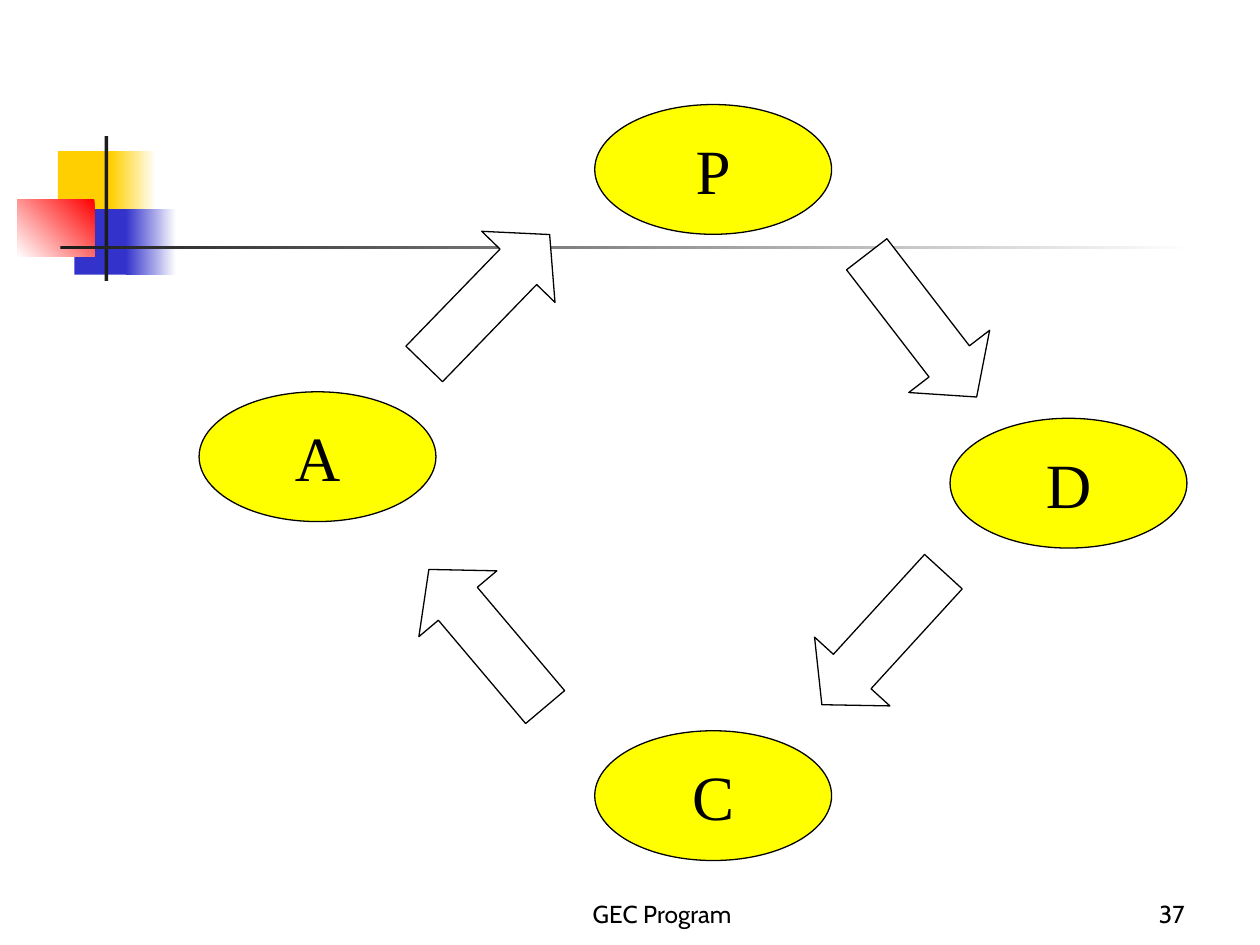
from typing import NamedTuple, Optional

from pptx import Presentation
from pptx.dml.color import RGBColor
from pptx.enum.shapes import MSO_SHAPE
from pptx.enum.text import MSO_ANCHOR, PP_ALIGN
from pptx.util import Inches, Pt

RECTANGLE = MSO_SHAPE.RECTANGLE
OVAL = MSO_SHAPE.OVAL
RIGHT_ARROW = MSO_SHAPE.RIGHT_ARROW
CENTER, RIGHT = PP_ALIGN.CENTER, PP_ALIGN.RIGHT
MIDDLE, BOTTOM = MSO_ANCHOR.MIDDLE, MSO_ANCHOR.BOTTOM

BLACK = RGBColor(0x00, 0x00, 0x00)
WHITE = RGBColor(0xFF, 0xFF, 0xFF)
YELLOW = RGBColor(0xFF, 0xFF, 0x00)
GOLD = RGBColor(0xFF, 0xCF, 0x01)
BLUE = RGBColor(0x33, 0x33, 0xCC)
RED = RGBColor(0xFF, 0x00, 0x00)
CHARCOAL = RGBColor(0x1C, 0x1C, 0x1C)

STAGE_FONT, FOOTER_FONT = "Times New Roman", "Cabin"
STAGE_WIDTH, STAGE_HEIGHT = 1.88, 1.03
ARROW_WIDTH, ARROW_HEIGHT = 1.43, 0.81
FOOTER_TOP, FOOTER_HEIGHT = 6.92, 0.5


class Block(NamedTuple):
    """A decorative bar; fade_angle is set when it fades to white."""
    left: float
    top: float
    width: float
    height: float
    color: RGBColor
    fade_angle: Optional[float] = None


class Stage(NamedTuple):
    letter: str
    left: float
    top: float


class Arrow(NamedTuple):
    left: float
    top: float
    rotation: float


class Footer(NamedTuple):
    text: str
    left: float
    width: float
    alignment: PP_ALIGN


BLOCKS = [
    Block(0.46, 1.2, 0.48, 0.52, GOLD),
    Block(0.88, 1.2, 0.36, 0.52, GOLD, 0),
    Block(0.59, 1.66, 0.46, 0.52, BLUE),
    Block(1, 1.66, 0.4, 0.52, BLUE, 0),
    Block(0.14, 1.58, 0.61, 0.46, RED, 225),
    Block(0.83, 1.08, 0.03, 1.15, CHARCOAL),
    Block(0.48, 1.95, 9, 0.03, CHARCOAL, 0),
]
STAGES = [
    Stage("P", 4.72, 0.83),
    Stage("D", 7.54, 3.32),
    Stage("A", 1.58, 3.11),
    Stage("C", 4.72, 5.8),
]
ARROWS = [
    Arrow(6.6, 2.18, 52.4),
    Arrow(3.15, 1.97, 314.1),
    Arrow(3.15, 4.66, 229.8),
    Arrow(6.29, 4.66, 132.4),
]
FOOTERS = [
    Footer("GEC Program", 3.67, 3.17, CENTER),
    Footer("37", 7.42, 2.08, RIGHT),
]


def add_preset(slide, preset: MSO_SHAPE, left: float, top: float,
               width: float, height: float):
    shape = slide.shapes.add_shape(
        preset, Inches(left), Inches(top), Inches(width), Inches(height))
    shape.shadow.inherit = False
    return shape


def paint(shape, color: RGBColor) -> None:
    """Give a solid fill and a thin black outline."""
    shape.fill.solid()
    shape.fill.fore_color.rgb = color
    shape.line.color.rgb = BLACK
    shape.line.width = Pt(0.75)


def write(shape, text: str, font: str, size: float,
          alignment: PP_ALIGN, anchor: MSO_ANCHOR) -> None:
    frame = shape.text_frame
    frame.word_wrap = True
    frame.vertical_anchor = anchor
    paragraph = frame.paragraphs[0]
    paragraph.alignment = alignment
    run = paragraph.add_run()
    run.text = text
    run.font.name = font
    run.font.size = Pt(size)
    run.font.color.rgb = BLACK


def draw_block(slide, block: Block) -> None:
    shape = add_preset(slide, RECTANGLE, *block[:4])
    shape.line.fill.background()
    if block.fade_angle is None:
        shape.fill.solid()
        shape.fill.fore_color.rgb = block.color
        return
    shape.fill.gradient()
    shape.fill.gradient_angle = block.fade_angle
    for stop, color in zip(shape.fill.gradient_stops, (block.color, WHITE)):
        stop.color.rgb = color


def draw_stage(slide, stage: Stage) -> None:
    oval = add_preset(slide, OVAL, stage.left, stage.top,
                      STAGE_WIDTH, STAGE_HEIGHT)
    paint(oval, YELLOW)
    write(oval, stage.letter, STAGE_FONT, 36, CENTER, MIDDLE)


def draw_arrow(slide, arrow: Arrow) -> None:
    shape = add_preset(slide, RIGHT_ARROW, arrow.left, arrow.top,
                       ARROW_WIDTH, ARROW_HEIGHT)
    shape.adjustments[0] = 0.5
    shape.adjustments[1] = 0.44
    shape.rotation = arrow.rotation
    paint(shape, WHITE)


def draw_footer(slide, footer: Footer) -> None:
    box = slide.shapes.add_textbox(
        Inches(footer.left), Inches(FOOTER_TOP),
        Inches(footer.width), Inches(FOOTER_HEIGHT))
    write(box, footer.text, FOOTER_FONT, 14, footer.alignment, BOTTOM)


def main() -> None:
    presentation = Presentation()
    presentation.slide_width = Inches(10)
    presentation.slide_height = Inches(7.5)
    slide = presentation.slides.add_slide(presentation.slide_layouts[6])
    for block in BLOCKS:
        draw_block(slide, block)
    for stage in STAGES:
        draw_stage(slide, stage)
    for arrow in ARROWS:
        draw_arrow(slide, arrow)
    for footer in FOOTERS:
        draw_footer(slide, footer)
    presentation.save("out.pptx")


if __name__ == "__main__":
    main()
